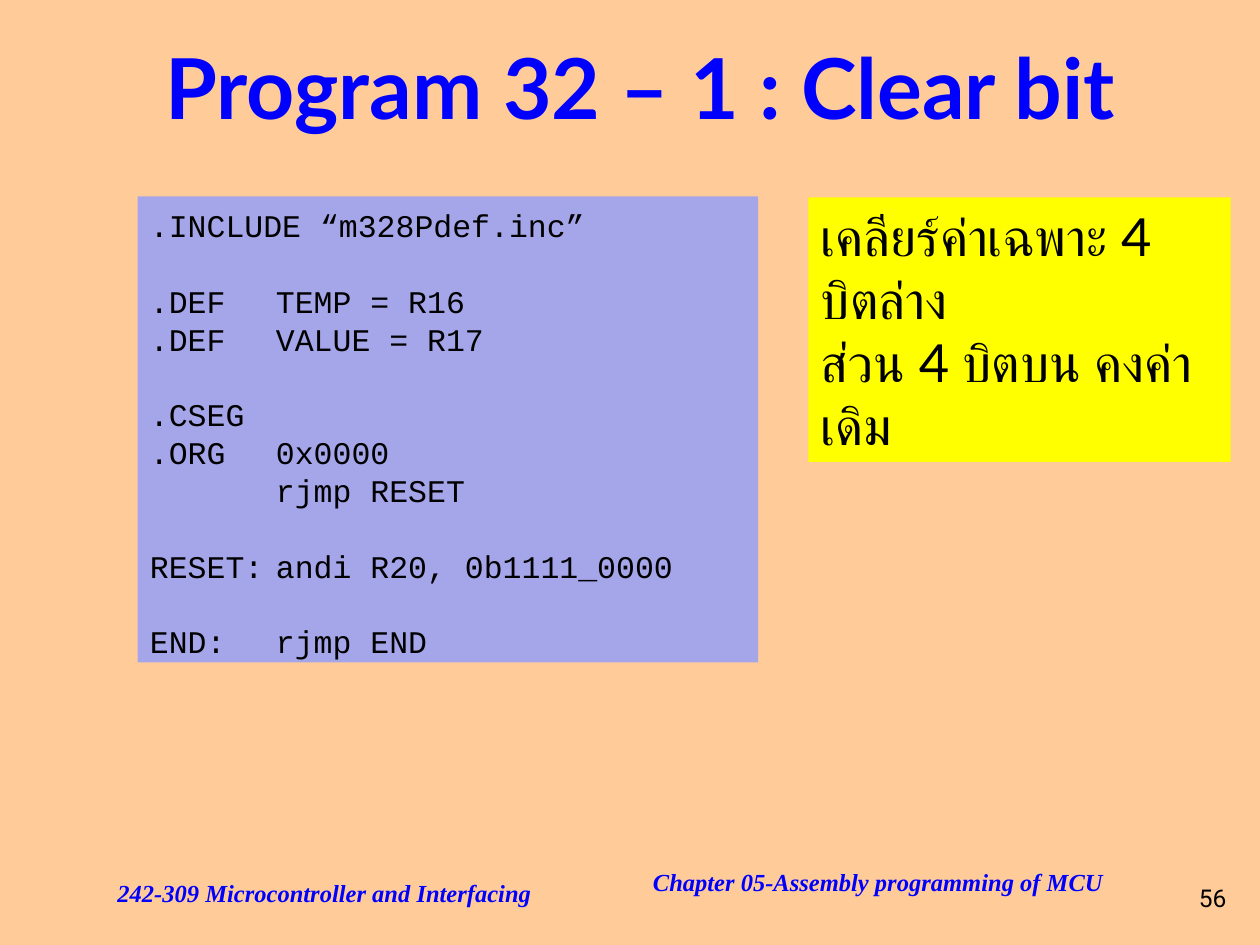
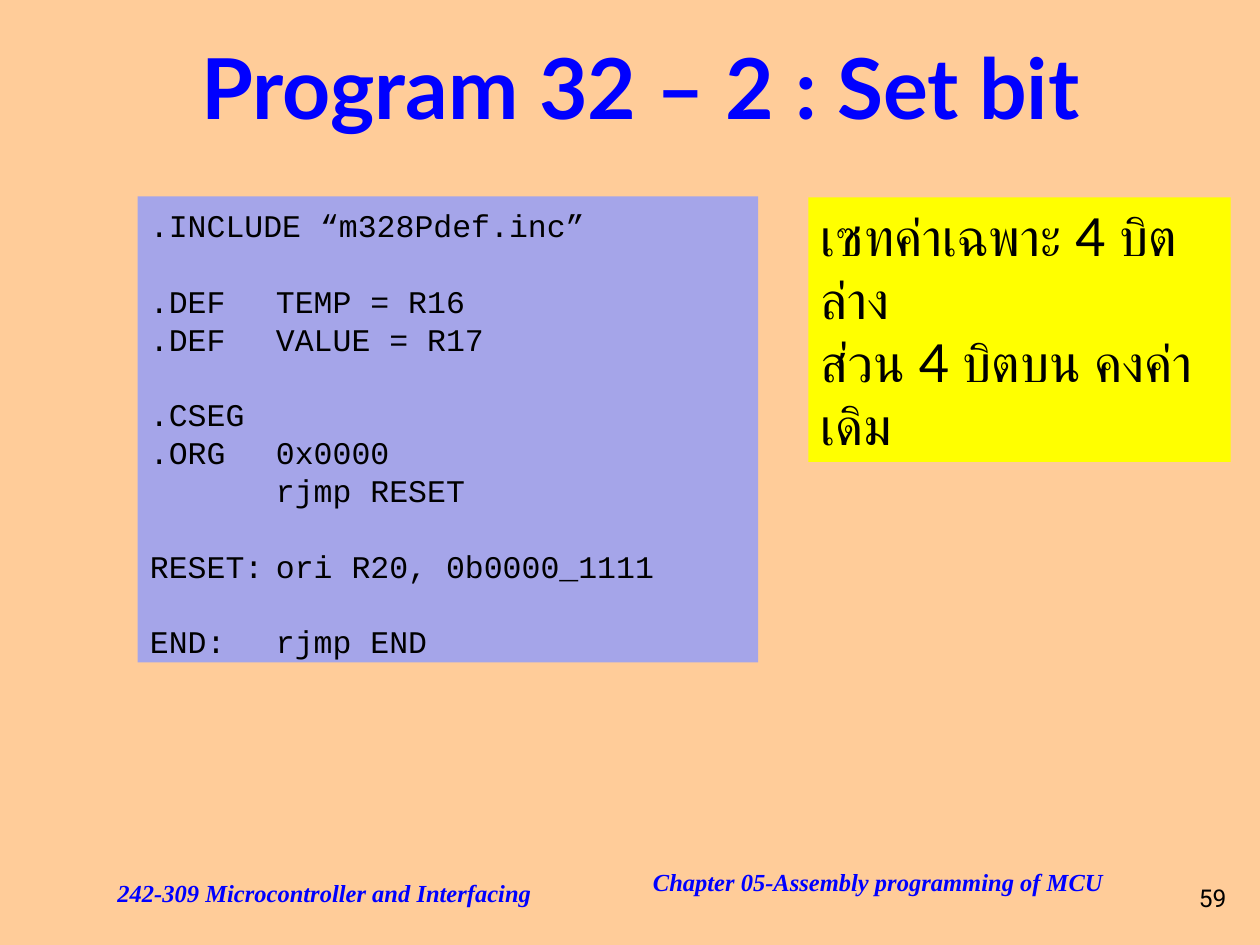
from lxml import etree
from pptx import Presentation
from pptx.dml.color import RGBColor
from pptx.enum.shapes import MSO_SHAPE
from pptx.enum.text import MSO_ANCHOR, PP_ALIGN
from pptx.oxml.ns import qn
from pptx.util import Emu, Inches, Pt

RECT = MSO_SHAPE.RECTANGLE
TOP, MIDDLE = MSO_ANCHOR.TOP, MSO_ANCHOR.MIDDLE
LEFT, CENTER = PP_ALIGN.LEFT, PP_ALIGN.CENTER

# Shared style
COLS, ROWS = 120, 90
PEACH, BLUE, LILAC, YELLOW, BLACK = "FFCC99", "0000FF", "A5A5E9", "FFFF00", "000000"
HEAD, MONO, SERIF, SANS = "Lato", "Courier New", "Times New Roman", "Roboto"
LINE_FACTOR = 1.2
FOOTER = dict(size=14, font=SERIF, color=BLUE, bold=True, italic=True)

# Shared wording
COURSE = "242-309 Microcontroller and Interfacing"
CHAPTER = "Chapter 05-Assembly programming of MCU"
UPPER_BITS = "ส่วน 4 บิตบน คงค่าเดิม"

# Code in blocks, one blank line apart
CODE_START = [
    [".INCLUDE “m328Pdef.inc”"],
    [".DEF\tTEMP = R16", ".DEF\tVALUE = R17"],
    [".CSEG", ".ORG\t0x0000", "\trjmp RESET"],
]
CODE_END = ["END:\trjmp END"]

# Page number, title, instruction, note
PROGRAMS = [
    (56, "Program 32 – 1 : Clear bit", "andi R20, 0b1111_0000", "เคลียร์ค่าเฉพาะ 4 บิตล่าง"),
    (59, "Program 32 – 2 : Set bit", "ori R20, 0b0000_1111", "เซทค่าเฉพาะ 4 บิตล่าง"),
]


def rgb(value):
    return RGBColor.from_string(value)


def add_tab_stop(p, inches):
    tabs = etree.SubElement(p._p.get_or_add_pPr(), qn("a:tabLst"))
    etree.SubElement(tabs, qn("a:tab"), pos=str(Inches(inches)), algn="l")


def write(tf, blocks, size, font, color=BLACK, bold=False, italic=False,
          align=LEFT, anchor=TOP, wrap=True, top=0.05, bottom=0.05,
          line=None, tab=None):
    """Fill a text frame with blocks of lines, a line's gap between blocks."""
    tf.word_wrap, tf.vertical_anchor = wrap, anchor
    tf.margin_left = tf.margin_right = Inches(0.1)
    tf.margin_top, tf.margin_bottom = Inches(top), Inches(bottom)
    p = None
    for block in blocks:
        for i, text in enumerate(block):
            new_block = p is not None and i == 0
            p = tf.paragraphs[0] if p is None else tf.add_paragraph()
            p.alignment = align
            if line:
                p.line_spacing = Pt(line)
            if new_block:
                p.space_before = Pt(line or size)
            if tab:
                add_tab_stop(p, tab)
            r = p.add_run()
            r.text = text
            f = r.font
            f.size, f.name, f.bold, f.italic = Pt(size), font, bold, italic
            f.color.rgb = rgb(color)
            for script in ("a:ea", "a:cs"):
                etree.SubElement(r._r.get_or_add_rPr(), qn(script), typeface=font)


class Deck:
    def __init__(self):
        self.prs = Presentation()
        self.prs.slide_width, self.prs.slide_height = Inches(10), Inches(7.5)
        fill = self.prs.slide_master.background.fill
        fill.solid()
        fill.fore_color.rgb = rgb(PEACH)
        self.s = None

    def box(self, col, row, cols, rows):
        w, h = self.prs.slide_width / COLS, self.prs.slide_height / ROWS
        return [Emu(int(v)) for v in (col * w, row * h, cols * w, rows * h)]

    def text(self, place, text, **style):
        sp = self.s.shapes.add_textbox(*self.box(*place))
        write(sp.text_frame, [[text]], **style)

    def panel(self, place, blocks, fill, size, **style):
        sp = self.s.shapes.add_shape(RECT, *self.box(*place))
        sp.shadow.inherit = False
        sp.fill.solid()
        sp.fill.fore_color.rgb = rgb(fill)
        sp.line.fill.background()
        write(sp.text_frame, blocks, size, line=size * LINE_FACTOR, **style)

    def title(self, text):
        sp = self.s.shapes.title
        sp.left, sp.top, sp.width, sp.height = self.box(11, 0.7, 100, 15)
        write(sp.text_frame, [[text]], 48, HEAD, BLUE, bold=True,
              align=CENTER, anchor=MIDDLE)

    def footers(self, number):
        self.text((112, 82, 7, 7), str(number), size=14, font=SANS,
                  align=CENTER, anchor=MIDDLE, wrap=False)
        self.text((61, 82, 50, 8), CHAPTER, **FOOTER)
        self.text((10, 83, 45.2, 6), COURSE, **FOOTER)

    def program(self, number, title, instruction, note):
        self.s = self.prs.slides.add_slide(self.prs.slide_layouts[5])
        self.title(title)
        code = CODE_START + [["RESET:\t" + instruction], CODE_END]
        self.panel((13.1, 18.7, 59.1, 44.4), code, LILAC, 18, font=MONO,
                   top=0.08, bottom=0.02, tab=1)
        self.panel((77, 18.8, 40.2, 25.2), [[note, UPPER_BITS]], YELLOW, 30, font=HEAD)
        self.footers(number)


def main():
    deck = Deck()
    for program in PROGRAMS:
        deck.program(*program)
    deck.prs.save("out.pptx")


if __name__ == "__main__":
    main()
